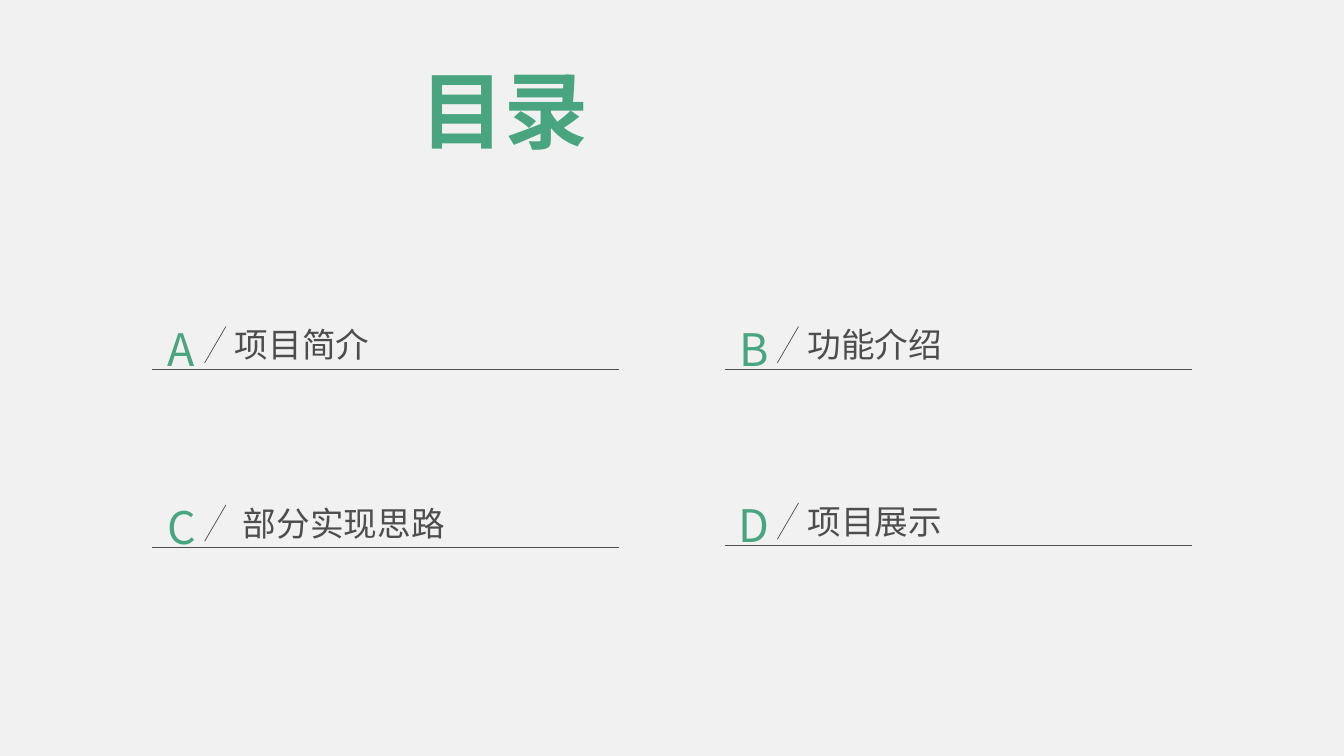
from lxml import etree
from pptx import Presentation, util as u
from pptx.dml.color import RGBColor
from pptx.enum import shapes, text
from pptx.oxml import ns

FONT = "Noto Sans CJK SC"
GREEN, GRAY, PAPER = "49A580", "4D4D4D", "F1F1F1"


def write(shape, words, size, color, align, anchor, bold=False):
    frame = shape.text_frame
    frame.word_wrap = True
    frame.auto_size = text.MSO_AUTO_SIZE.NONE
    frame.vertical_anchor = anchor
    frame.text = words
    paragraph = frame.paragraphs[0]
    paragraph.alignment = align
    font = paragraph.font
    font.size, font.bold, font.name = u.Pt(size), bold, FONT
    font.color.rgb = RGBColor.from_string(color)
    properties = paragraph._p.pPr.find(ns.qn("a:defRPr"))
    etree.SubElement(properties, ns.qn("a:ea"), typeface=FONT)
    return frame


def draw_line(x1, y1, x2, y2):
    line = slide.shapes.add_connector(
        shapes.MSO_CONNECTOR.STRAIGHT, *(u.Inches(v) for v in (x1, y1, x2, y2)))
    line.line.color.rgb = RGBColor.from_string(GRAY)
    line.line.width = u.Pt(0.5)
    etree.SubElement(line._element.spPr, ns.qn("a:effectLst"))


presentation = Presentation()
presentation.slide_width, presentation.slide_height = u.Inches(13.33), u.Inches(7.5)
slide = presentation.slides.add_slide(presentation.slide_layouts[5])
slide.background.fill.solid()
slide.background.fill.fore_color.rgb = RGBColor.from_string(PAPER)

title = slide.shapes.title
title.left, title.top = u.Inches(4.07), u.Inches(0.53)
title.width, title.height = u.Inches(5.18), u.Inches(1.11)
write(title, "目录", 60, GREEN, text.PP_ALIGN.JUSTIFY, text.MSO_ANCHOR.TOP, True)

LEFT, RIGHT = 1.51, 7.19
ENTRY_WIDTH, LETTER_WIDTH, LABEL_OFFSET = 4.63, 0.58, 0.74
entries = [
    ("A", "项目简介", LEFT, 3.66, 0.08),
    ("B", "功能介绍", RIGHT, 3.66, 0.08),
    ("C", "部分实现思路", LEFT, 5.43, 0.16),
    ("D", "项目展示", RIGHT, 5.41, 0.08),
]
for letter, label, x, baseline, indent in entries:
    draw_line(x, baseline, x + ENTRY_WIDTH, baseline)
    draw_line(x + 0.73, baseline - 0.42, x + 0.52, baseline - 0.06)

    label_box = slide.shapes.add_textbox(
        u.Inches(x + LABEL_OFFSET), u.Inches(baseline - 0.49),
        u.Inches(ENTRY_WIDTH - LABEL_OFFSET), u.Inches(0.49))
    label_frame = write(label_box, label, 24, GRAY, text.PP_ALIGN.LEFT, text.MSO_ANCHOR.MIDDLE)
    label_frame.margin_left = u.Inches(indent)

    letter_box = slide.shapes.add_textbox(
        u.Inches(x), u.Inches(baseline - 0.53), u.Inches(LETTER_WIDTH), u.Inches(0.59))
    letter_frame = write(letter_box, letter, 32, GREEN, text.PP_ALIGN.CENTER, text.MSO_ANCHOR.BOTTOM)
    letter_frame.paragraphs[0].line_spacing = 1.3
    letter_frame.margin_left = 0

    for frame in (label_frame, letter_frame):
        frame.margin_top = frame.margin_right = frame.margin_bottom = 0

presentation.save("out.pptx")
